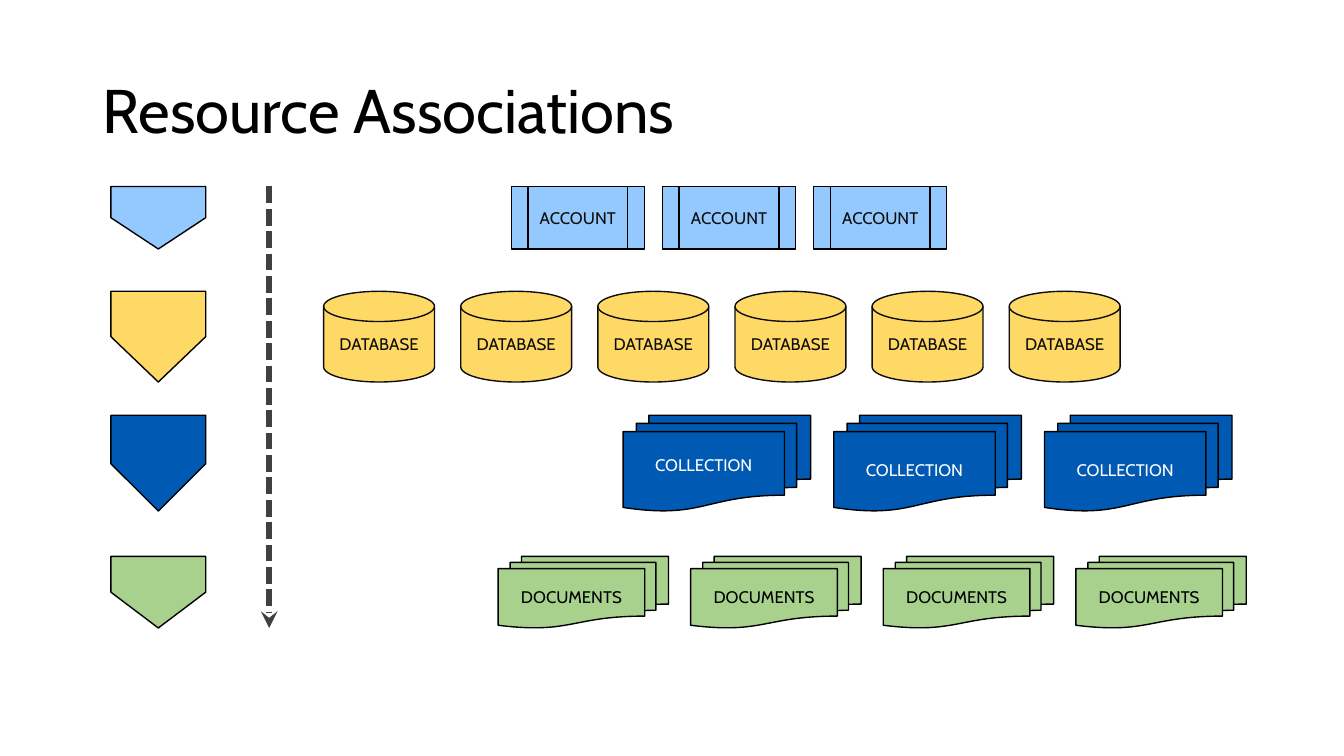
from dataclasses import dataclass

from pptx import Presentation
from pptx.dml.color import RGBColor
from pptx.enum.dml import MSO_LINE
from pptx.enum.shapes import MSO_CONNECTOR, MSO_SHAPE as Preset
from pptx.enum.text import MSO_ANCHOR as Anchor, PP_ALIGN as Align
from pptx.oxml.ns import qn
from pptx.util import Inches, Pt
from lxml.etree import SubElement

FONT = "Cabin"
BLACK, INK, WHITE = "000000", "0D0D0D", "FFFFFF"
MARKER_CENTER, MARKER_WIDTH = 1.57, 0.94


@dataclass
class Level:
    label: str
    preset: int
    fill: str
    outline: str
    ink: str
    count: int
    left: float
    top: float
    width: float
    height: float
    pitch: float
    # Extra bottom inset that lifts the label of the first item
    first_lift: float = 0


LEVELS = [
    Level("ACCOUNT", Preset.FLOWCHART_PREDEFINED_PROCESS, "93C9FF", BLACK, INK,
          3, 5.07, 1.85, 1.32, 0.62, 1.5),
    Level("DATABASE", Preset.FLOWCHART_MAGNETIC_DISK, "FFD966", INK, INK,
          6, 3.21, 2.89, 1.1, 0.9, 1.36),
    Level("COLLECTION", Preset.FLOWCHART_MULTIDOCUMENT, "0059B2", BLACK, WHITE,
          3, 6.18, 4.12, 1.86, 0.95, 2.09, first_lift=0.1),
    Level("DOCUMENTS", Preset.FLOWCHART_MULTIDOCUMENT, "A9D18E", BLACK, BLACK,
          4, 4.94, 5.52, 1.69, 0.71, 1.91),
]


def color(hex_value):
    return RGBColor.from_string(hex_value)


def add_run(paragraph, text, size, ink):
    run = paragraph.add_run()
    run.text = text
    run.font.name = FONT
    run.font.size = Pt(size)
    run.font.color.rgb = color(ink)


def add_title(slide, text):
    title = slide.shapes.add_textbox(Inches(0.92), Inches(0.4), Inches(11.5), Inches(1.45))
    frame = title.text_frame
    frame.word_wrap = True
    frame.vertical_anchor = Anchor.MIDDLE
    heading = frame.paragraphs[0]
    heading.line_spacing = 0.9
    add_run(heading, text, 44, BLACK)


def add_outlined(slide, preset, left, top, width, height, fill, outline):
    shape = slide.shapes.add_shape(
        preset, Inches(left), Inches(top), Inches(width), Inches(height))
    shape.shadow.inherit = False
    shape.fill.solid()
    shape.fill.fore_color.rgb = color(fill)
    shape.line.color.rgb = color(outline)
    shape.line.width = Pt(1)
    return shape


def add_marker(slide, level):
    # Turned a quarter, so the pentagon's length spans the row height
    left = MARKER_CENTER - level.height / 2
    top = level.top + (level.height - MARKER_WIDTH) / 2
    marker = add_outlined(slide, Preset.PENTAGON, left, top, level.height,
                          MARKER_WIDTH, level.fill, BLACK)
    marker.rotation = 90


def add_resources(slide, level):
    for index in range(level.count):
        resource = add_outlined(slide, level.preset, level.left + index * level.pitch,
                                level.top, level.width, level.height,
                                level.fill, level.outline)
        frame = resource.text_frame
        frame.word_wrap = True
        frame.margin_left = frame.margin_right = 0
        if index == 0 and level.first_lift:
            frame.margin_bottom += Inches(level.first_lift)
        frame.vertical_anchor = Anchor.MIDDLE
        caption = frame.paragraphs[0]
        caption.alignment = Align.CENTER
        add_run(caption, level.label, 12, level.ink)


def add_flow_arrow(slide, x, top, bottom):
    arrow = slide.shapes.add_connector(
        MSO_CONNECTOR.STRAIGHT, Inches(x), Inches(top), Inches(x), Inches(bottom))
    arrow.line.color.rgb = color("404040")
    arrow.line.width = Pt(4)
    arrow.line.dash_style = MSO_LINE.SQUARE_DOT
    SubElement(arrow.line._get_or_add_ln(), qn("a:tailEnd"), type="stealth")
    SubElement(arrow._element.spPr, qn("a:effectLst"))


def main():
    prs = Presentation()
    prs.slide_width, prs.slide_height = Inches(13.33), Inches(7.5)
    slide = prs.slides.add_slide(prs.slide_layouts[6])

    add_title(slide, "Resource Associations")

    # One row per level of the hierarchy
    for level in LEVELS:
        add_marker(slide, level)
        add_resources(slide, level)

    # Arrow from the top row to the bottom row
    last = LEVELS[-1]
    add_flow_arrow(slide, 2.67, LEVELS[0].top, last.top + last.height)

    prs.save("out.pptx")


if __name__ == "__main__":
    main()
